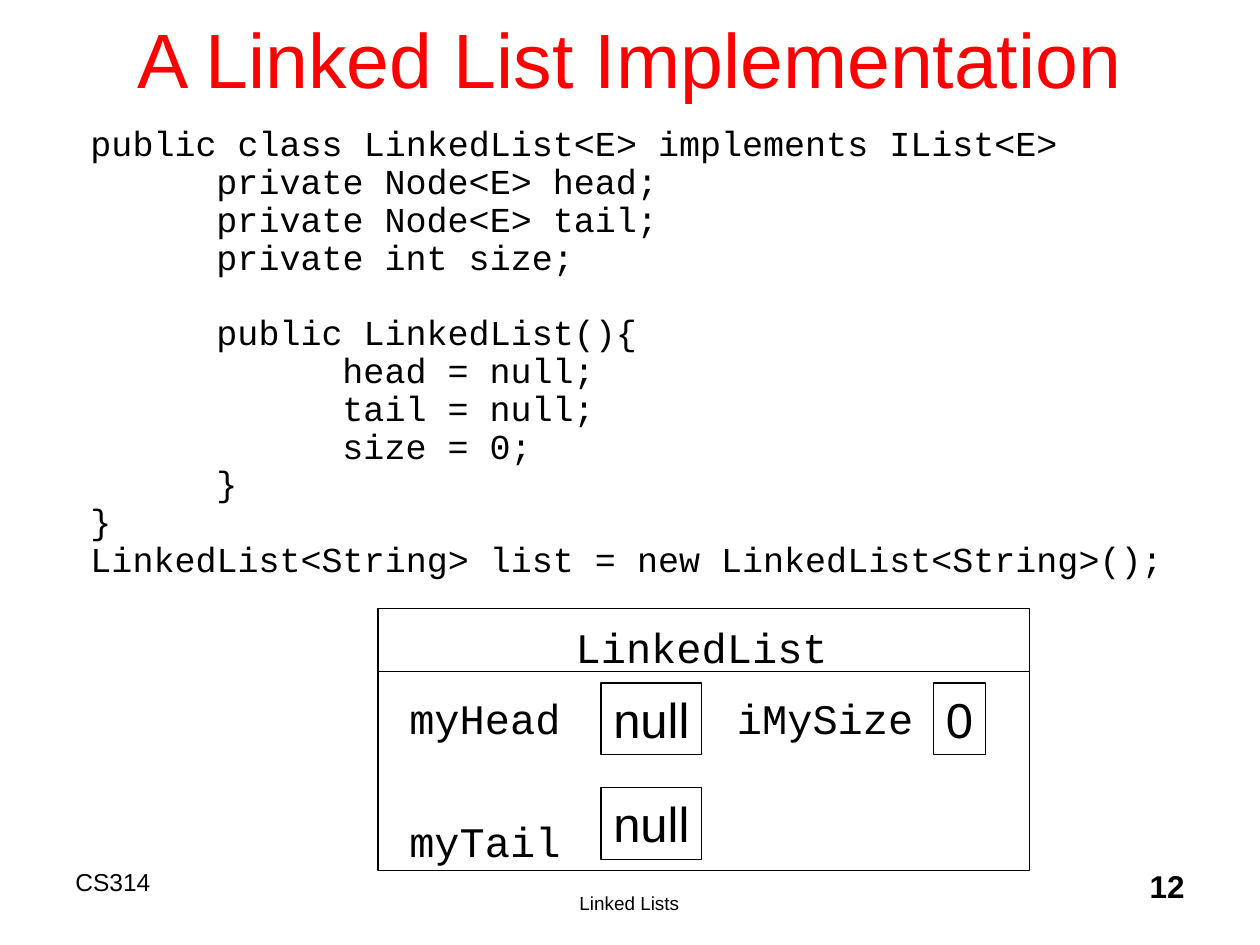
from pptx import Presentation
from pptx.dml.color import RGBColor
from pptx.enum.shapes import MSO_CONNECTOR as CONN, MSO_SHAPE as SHAPE
from pptx.enum.text import MSO_ANCHOR as ANCHOR, PP_ALIGN as ALIGN
from pptx.oxml.ns import qn
from pptx.util import Inches, Pt
from lxml.etree import SubElement

WIDTH, HEIGHT = 10, 7.5
SANS, MONO = "Arial", "Courier New"
BLACK, RED = "000000", "FF0000"
CODE_PITCH = 21.6
CODE = [
    (0, "public class LinkedList<E> implements IList<E>"),
    (1, "private Node<E> head;"),
    (1, "private Node<E> tail;"),
    (1, "private int size;"),
    (1, "public LinkedList(){"),
    (2, "head = null;"),
    (2, "tail = null;"),
    (2, "size = 0;"),
    (1, "}"),
    (0, "}"),
    (0, "LinkedList<String> list = new LinkedList<String>();"),
]
CONSTRUCTOR = "public LinkedList(){"
OBJECT_LEFT, OBJECT_TOP, OBJECT_WIDTH, OBJECT_HEIGHT = 3, 4.83, 5.17, 2.08
HEADER_HEIGHT, VALUE_HEIGHT = 0.5, 0.57
HEAD_ROW, TAIL_ROW = 5.42, 6.25


def rgb(value):
    """Return the colour for a hex string."""
    return RGBColor.from_string(value)


def apply(target, **values):
    """Set each given attribute on the target."""
    for name, value in values.items():
        setattr(target, name, value)


def write(p, text, size, font=SANS, color=BLACK, bold=False, align=ALIGN.LEFT):
    """Write one formatted run into a paragraph."""
    p.alignment = align
    r = p.add_run()
    r.text = text
    apply(r.font, name=font, size=Pt(size), bold=bold)
    r.font.color.rgb = rgb(color)


def add_label(s, box, text, size, anchor=ANCHOR.TOP, **style):
    """Add a one-line text box."""
    tf = s.shapes.add_textbox(*map(Inches, box)).text_frame
    apply(tf, word_wrap=True, vertical_anchor=anchor)
    write(tf.paragraphs[0], text, size, **style)


def add_code(s, box, lines):
    """Add the code listing, indented one inch per level."""
    tf = s.shapes.add_textbox(*map(Inches, box)).text_frame
    tf.word_wrap = True
    for i, (level, text) in enumerate(lines):
        p = tf.add_paragraph() if i else tf.paragraphs[0]
        p.line_spacing = Pt(CODE_PITCH)
        p.space_before = Pt(CODE_PITCH if text == CONSTRUCTOR else 0)
        p._p.get_or_add_pPr().set("marL", str(Inches(level)))
        write(p, text, 20, MONO)


def add_box(s, box, text=""):
    """Add an outlined rectangle, with a centred value if given."""
    sp = s.shapes.add_shape(SHAPE.RECTANGLE, *map(Inches, box))
    sp.shadow.inherit = False
    sp.fill.background()
    sp.line.color.rgb = rgb(BLACK)
    sp.line.width = Pt(0.75)
    if text:
        tf = sp.text_frame
        apply(tf, word_wrap=False, vertical_anchor=ANCHOR.MIDDLE)
        write(tf.paragraphs[0], text, 28, align=ALIGN.CENTER)


def add_rule(s, left, top, width):
    """Add a horizontal line."""
    ends = map(Inches, (left, top, left + width, top))
    line = s.shapes.add_connector(CONN.STRAIGHT, *ends)
    line.line.color.rgb = rgb(BLACK)
    line.line.width = Pt(0.75)
    SubElement(line._element.spPr, qn("a:effectLst"))


def add_title(s, text):
    """Place and fill the title placeholder."""
    sp = s.shapes.title
    apply(sp, left=Inches(0.75), top=Inches(-0.17),
          width=Inches(8.5), height=Inches(1.25))
    sp.text_frame.vertical_anchor = ANCHOR.MIDDLE
    write(sp.text_frame.paragraphs[0], text, 44, color=RED, align=ALIGN.CENTER)


def add_object_diagram(s):
    """Draw the list object with its fields and their values."""
    add_box(s, (OBJECT_LEFT, OBJECT_TOP, OBJECT_WIDTH, OBJECT_HEIGHT))
    add_rule(s, OBJECT_LEFT, OBJECT_TOP + HEADER_HEIGHT, OBJECT_WIDTH)
    labels = [
        ("LinkedList", 4.47, OBJECT_TOP + 0.05, 2.4),
        ("myHead", 3.15, HEAD_ROW + 0.03, 1.5),
        ("iMySize", 5.75, HEAD_ROW + 0.03, 1.65),
        ("myTail", 3.15, TAIL_ROW + 0.17, 1.5),
    ]
    for text, left, top, width in labels:
        add_label(s, (left, top, width, HEADER_HEIGHT), text, 24,
                  ANCHOR.MIDDLE, font=MONO)
    values = [("null", 4.77, HEAD_ROW, 0.8), ("null", 4.77, TAIL_ROW, 0.8),
              ("0", 7.41, HEAD_ROW, 0.41)]
    for text, left, top, width in values:
        add_box(s, (left, top, width, VALUE_HEIGHT), text)


def main():
    """Build the slide and save it."""
    prs = Presentation()
    apply(prs, slide_width=Inches(WIDTH), slide_height=Inches(HEIGHT))
    s = prs.slides.add_slide(prs.slide_layouts[5])
    add_label(s, (0.5, 6.83, 2.5, 0.5), "CS314", 14)
    add_label(s, (3.08, 7.03, 3.83, 0.3), "Linked Lists", 10.8,
              align=ALIGN.CENTER)
    add_label(s, (7.42, 6.83, 2.08, 0.5), "12", 18, bold=True,
              align=ALIGN.RIGHT)
    add_title(s, "A Linked List Implementation")
    add_code(s, (0.62, 0.95, 9, 3.7), CODE)
    add_object_diagram(s)
    prs.save("out.pptx")


if __name__ == "__main__":
    main()
